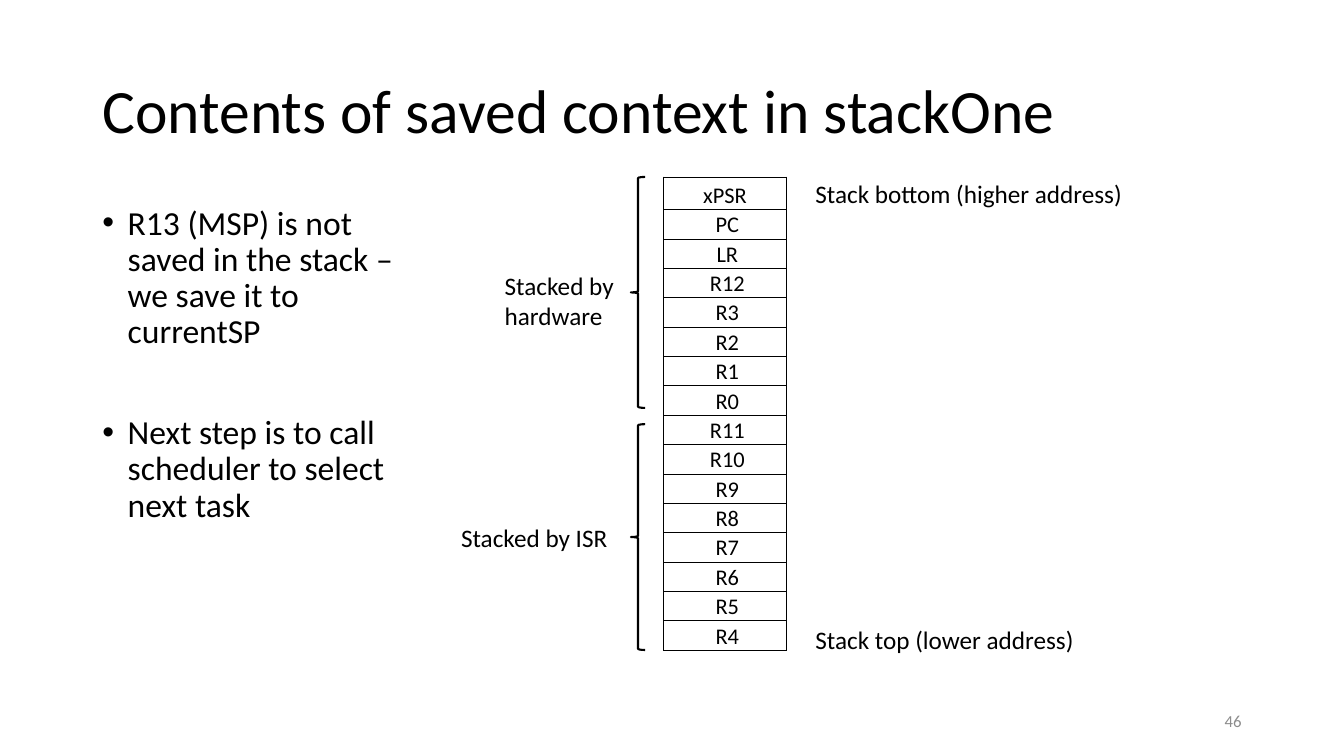
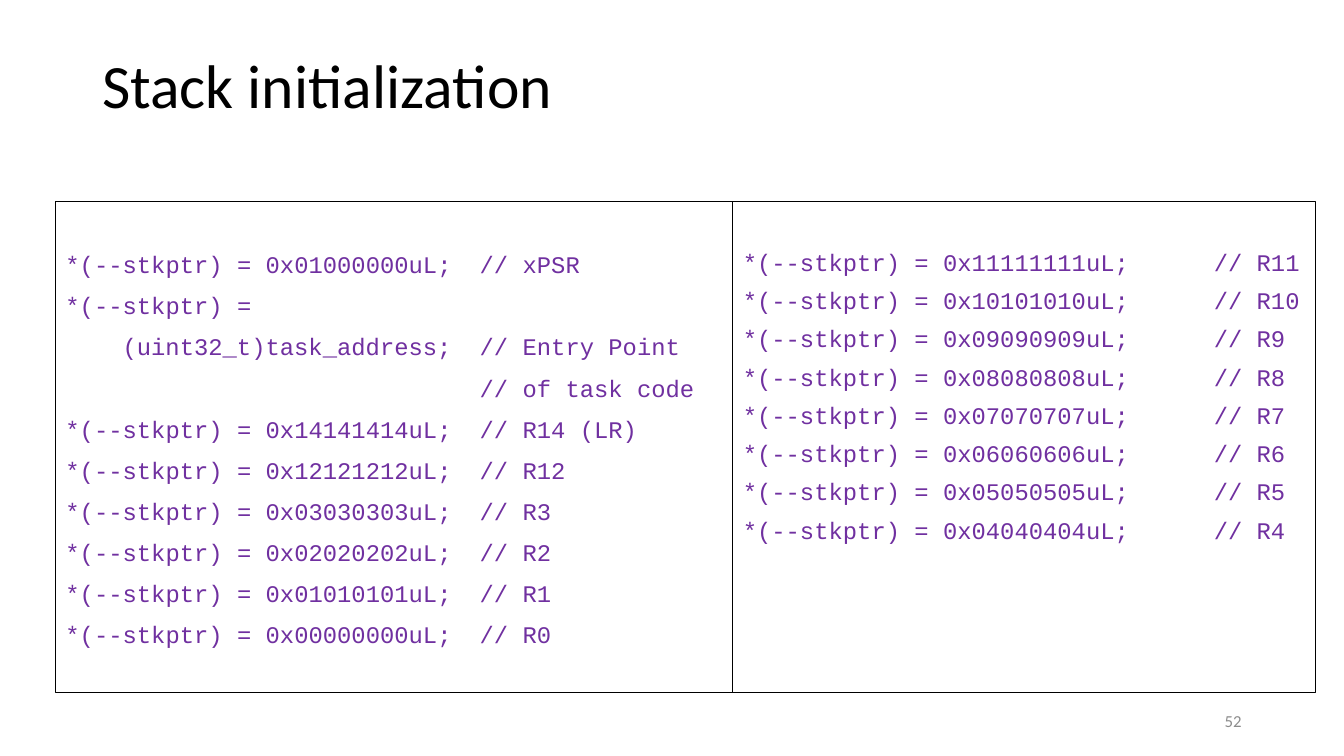
from lxml import etree
from pptx import Presentation
from pptx.dml.color import RGBColor
from pptx.enum.shapes import MSO_SHAPE
from pptx.enum.text import MSO_ANCHOR, PP_ALIGN
from pptx.oxml.ns import qn
from pptx.util import Cm, Pt

RECTANGLE, LEFT_BRACE = MSO_SHAPE.RECTANGLE, MSO_SHAPE.LEFT_BRACE
TOP, MIDDLE, BOTTOM = MSO_ANCHOR.TOP, MSO_ANCHOR.MIDDLE, MSO_ANCHOR.BOTTOM
LEFT, CENTER, RIGHT = PP_ALIGN.LEFT, PP_ALIGN.CENTER, PP_ALIGN.RIGHT

# Shared styles
BLACK, GREY, PURPLE = "000000", "8C8C8C", "7030A0"


def style(size, color=BLACK, font="Calibri", anchor=TOP, **paragraph_format):
    return {
        "font": {"name": font, "size": Pt(size)},
        "color": color,
        "anchor": anchor,
        "paragraph": {"alignment": LEFT, **paragraph_format},
    }


def write(frame, lines, look):
    """Fill a text frame or table cell with one paragraph per line."""
    frame.word_wrap = True
    frame.vertical_anchor = look["anchor"]
    text_frame = getattr(frame, "text_frame", frame)
    text_frame.text = "\n".join(lines)
    for paragraph in text_frame.paragraphs:
        for name, value in look["paragraph"].items():
            setattr(paragraph, name, value)
        for name, value in look["font"].items():
            setattr(paragraph.font, name, value)
            for run in paragraph.runs:
                setattr(run.font, name, value)
        for run in paragraph.runs:
            run.font.color.rgb = RGBColor.from_string(look["color"])
    return text_frame.paragraphs


TITLE = style(44, anchor=MIDDLE, line_spacing=0.9)
BODY = style(24, line_spacing=0.9, space_before=Pt(46))
LABEL = style(18)
REGISTER = style(16, anchor=BOTTOM, alignment=CENTER)
NUMBER = style(12, GREY, anchor=MIDDLE, alignment=RIGHT)

presentation = Presentation()
presentation.slide_width, presentation.slide_height = Cm(33.87), Cm(19.05)

# Titles and slide numbers
slides = []
for title, title_height, number in [
    ("Contents of saved context in stackOne", 3.68, "46"),
    ("Stack initialization", 2.42, "52"),
]:
    slide = presentation.slides.add_slide(presentation.slide_layouts[6])
    slides.append(slide)
    title_box = slide.shapes.add_textbox(Cm(2.33), Cm(1.02), Cm(29.21), Cm(title_height))
    write(title_box.text_frame, [title], TITLE)
    number_box = slide.shapes.add_textbox(Cm(23.92), Cm(17.66), Cm(7.62), Cm(1.01))
    write(number_box.text_frame, [number], NUMBER)
context_slide, code_slide = slides

# Bulleted remarks
remarks = [
    "R13 (MSP) is not saved in the stack – we save it to currentSP",
    "Next step is to call scheduler to select next task",
]
remark_box = context_slide.shapes.add_textbox(Cm(2.33), Cm(5.07), Cm(8.25), Cm(12.09))
for paragraph in write(remark_box.text_frame, remarks, BODY):
    properties = paragraph._p.get_or_add_pPr()
    properties.set("marL", str(Cm(0.64)))
    properties.set("indent", str(-Cm(0.64)))
    etree.SubElement(properties, qn("a:buFont"), typeface="Arial")
    etree.SubElement(properties, qn("a:buChar"), char="•")

# Stack table
registers = ["xPSR", "PC", "LR", "R12", "R3", "R2", "R1", "R0"]
registers += [f"R{index}" for index in range(11, 3, -1)]
stack = context_slide.shapes.add_table(
    len(registers), 1, Cm(16.72), Cm(4.46), Cm(3.1), Cm(11.92)).table
stack.first_row = stack.horz_banding = False
for index, register in enumerate(registers):
    stack.rows[index].height = Cm(0.74 if index else 0.82)
    cell = stack.cell(index, 0)
    cell.margin_left = Cm(0.15 if index else 0.03)
    cell.margin_right = cell.margin_top = Cm(0.03)
    cell.margin_bottom = 0
    write(cell, [register], REGISTER)
    cell.fill.background()
    properties = cell._tc.get_or_add_tcPr()
    for position, edge in enumerate(["a:lnL", "a:lnR", "a:lnT", "a:lnB"]):
        border = etree.Element(qn(edge), w=str(Pt(0.5)))
        fill = etree.SubElement(border, qn("a:solidFill"))
        etree.SubElement(fill, qn("a:srgbClr"), val=BLACK)
        properties.insert(position, border)

# Braces beside the stack
for top, height in [(4.46, 5.82), (10.69, 5.69)]:
    brace = context_slide.shapes.add_shape(
        LEFT_BRACE, Cm(15.9), Cm(top), Cm(0.36), Cm(height))
    brace.shadow.inherit = False
    brace.fill.background()
    brace.line.color.rgb = RGBColor.from_string(BLACK)
    brace.line.width = Pt(1.5)

# Labels around the stack
for left, top, width, height, lines in [
    (20.3, 4.37, 8.5, 1.03, ["Stack bottom (higher address)"]),
    (20.3, 15.6, 8.5, 1.03, ["Stack top (lower address)"]),
    (12.47, 6.68, 3.43, 1.8, ["Stacked by", "hardware"]),
    (11.37, 13.03, 4.32, 1.03, ["Stacked by ISR"]),
]:
    label_box = context_slide.shapes.add_textbox(Cm(left), Cm(top), Cm(width), Cm(height))
    write(label_box.text_frame, lines, LABEL)

# Code panels, with comments aligned on tab stops
def_line = "*(--stkptr) = 0x{}uL;\t// {}"
first_lines = [
    def_line.format("01000000", "xPSR"),
    "*(--stkptr) =",
    "\t(uint32_t)task_address;\t// Entry Point",
    "\t\t// of task code",
    def_line.format("14141414", "R14 (LR)"),
]
first_lines += [def_line.format(f"{n:02}" * 4, f"R{n}") for n in (12, 3, 2, 1, 0)]
second_lines = [def_line.format(f"{n:02}" * 4, f"R{n}") for n in range(11, 3, -1)]

for left, width, spacing, tab_stops, lines in [
    (1.4, 17.07, 0.9, [1.44, 10.44], first_lines),
    (18.47, 14.68, 0.8, [11.87], second_lines),
]:
    panel = code_slide.shapes.add_shape(RECTANGLE, Cm(left), Cm(5.08), Cm(width), Cm(12.37))
    panel.shadow.inherit = False
    panel.fill.background()
    panel.line.color.rgb = RGBColor.from_string(BLACK)
    panel.line.width = Pt(0.75)
    panel.text_frame.margin_top = Cm(1.3)
    code = style(17, PURPLE, "Courier New", line_spacing=spacing, space_before=Pt(11))
    for paragraph in write(panel.text_frame, lines, code):
        tab_list = etree.Element(qn("a:tabLst"))
        for stop in tab_stops:
            etree.SubElement(tab_list, qn("a:tab"), pos=str(Cm(stop)), algn="l")
        properties = paragraph._p.get_or_add_pPr()
        properties.insert(2, tab_list)

presentation.save("out.pptx")
